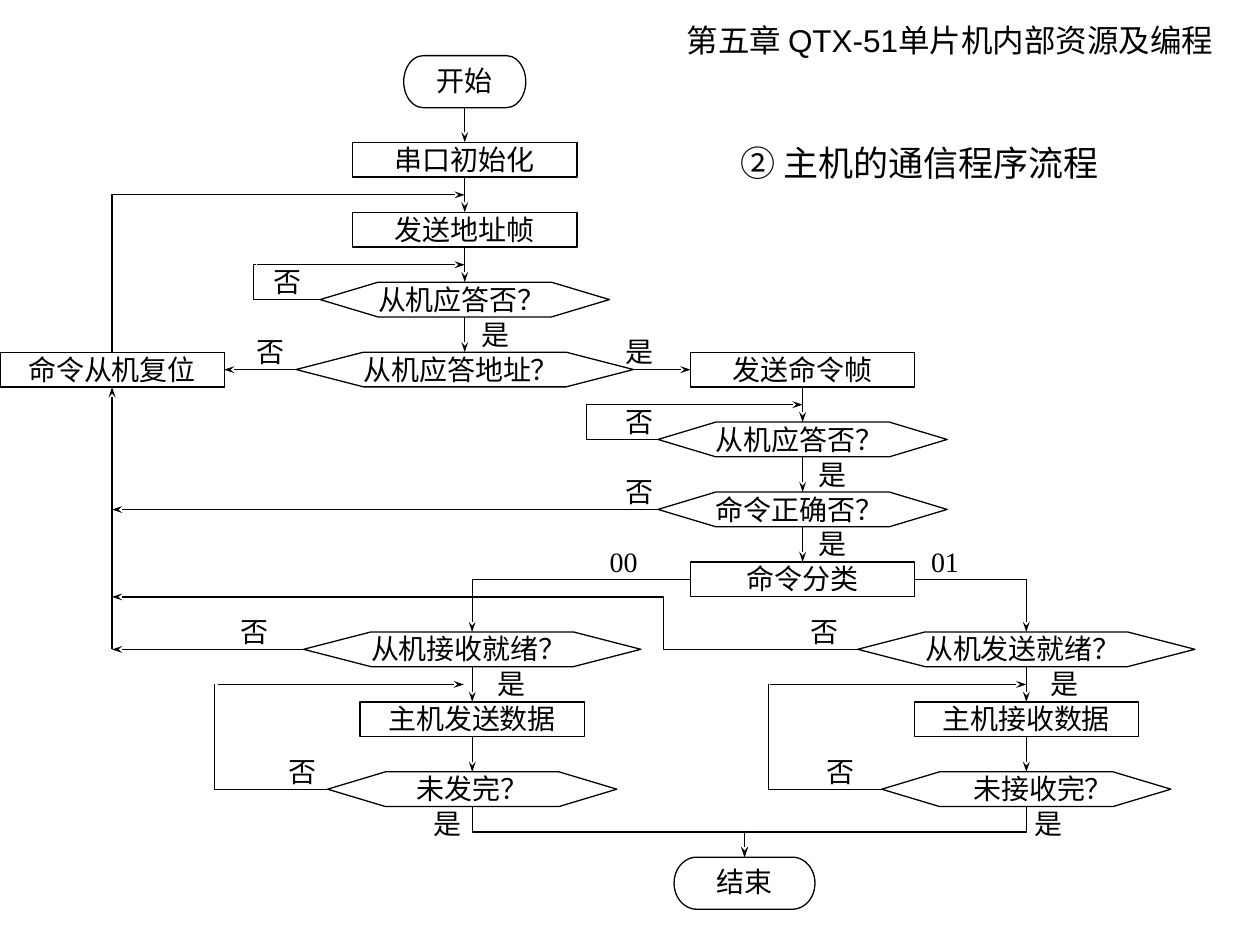
from lxml import etree
from pptx import Presentation
from pptx import util as u
from pptx.dml.color import RGBColor
from pptx.enum import shapes, text
from pptx.oxml.ns import qn

INK = {"black": "000000", "white": "FFFFFF"}
SERIF, SANS = "Times New Roman", "Arial"
LEFT, MID, RIGHT = text.PP_ALIGN.LEFT, text.PP_ALIGN.CENTER, text.PP_ALIGN.RIGHT
FIT = text.MSO_AUTO_SIZE
KIND = shapes.MSO_SHAPE
STEP, TEST, CAP = (KIND.FLOWCHART_PROCESS, KIND.FLOWCHART_PREPARATION,
                   KIND.FLOWCHART_TERMINATOR)

# Column centres in cm; rows count from the first step, a box is half a row tall
RESET, MAIN, SEND, CMD, RECV, END = 2.26, 9.37, 9.52, 16.18, 20.69, 15.01
TOP, PITCH = 2.87, 1.41
BOX, CAPH = 0.7, 1.05
WIDE, SLIM, FULL = 4.52, 5.83, 6.8
START_Y, END_Y = -1.24, 10.22

# Nodes: kind, label, column, row, width, alignment
nodes = [
    (CAP, "开始", MAIN, START_Y, 2.46, MID),
    (STEP, "串口初始化", MAIN, 0, WIDE, MID),
    (STEP, "发送地址帧", MAIN, 1, WIDE, MID),
    (TEST, "从机应答否？", MAIN, 2, SLIM, LEFT),
    (TEST, "从机应答地址？", MAIN, 3, FULL, LEFT),
    (STEP, "命令从机复位", RESET, 3, WIDE, MID),
    (STEP, "发送命令帧", CMD, 3, WIDE, MID),
    (TEST, "从机应答否？", CMD, 4, SLIM, LEFT),
    (TEST, "命令正确否？", CMD, 5, SLIM, LEFT),
    (STEP, "命令分类", CMD, 6, WIDE, MID),
    (TEST, "从机接收就绪？", SEND, 7, FULL, LEFT),
    (TEST, "从机发送就绪？", RECV, 7, FULL, LEFT),
    (STEP, "主机发送数据", SEND, 8, WIDE, MID),
    (STEP, "主机接收数据", RECV, 8, WIDE, MID),
    (TEST, "未发完？", SEND, 9, SLIM, MID),
    (TEST, "未接收完？", RECV, 9, SLIM, RIGHT),
    (CAP, "结束", END, END_Y, 2.84, MID),
]

# Straight arrows: x, row, x, row
drops = [(MAIN, -0.49, MAIN, 0)]
for col, rows in ((MAIN, (0, 1, 2)), (CMD, (3, 4, 5)), (SEND, (7, 8)), (RECV, (7, 8))):
    drops += [(col, r + 0.5, col, r + 1) for r in rows]
links = drops + [
    (MAIN + FULL / 2, 3.25, CMD - WIDE / 2, 3.25),
    (MAIN - FULL / 2, 3.25, RESET + WIDE / 2, 3.25),
    (SEND - FULL / 2, 7.25, RESET, 7.25),
    (CMD - SLIM / 2, 5.25, RESET, 5.25),
    (RESET, 7.25, RESET, 3.5),
    (5.18, 1.75, MAIN, 1.75),
    (11.96, 3.75, CMD, 3.75),
    (4.39, 7.75, 9.35, 7.75),
    (15.52, 7.75, RECV, 7.75),
]

# Bent lines: x, row, x, row, bend (None is one corner), arrow end, upright
bends = [
    (CMD - WIDE / 2, 6.25, SEND, 7, None, "tail", False),
    (CMD + WIDE / 2, 6.25, RECV, 7, None, "tail", False),
    (MAIN, 0.75, RESET, 3, None, "head", False),
    (SEND - SLIM / 2, 9.25, 4.32, 7.75, None, None, False),
    (RECV - SLIM / 2, 9.25, 15.49, 7.75, None, None, False),
    (RECV - FULL / 2, 7.25, RESET, 6.5, 0.26, "tail", False),
    (MAIN - SLIM / 2, 2.25, 5.16, 1.75, 1.04, None, False),
    (CMD - SLIM / 2, 4.25, 11.96, 3.75, 1.11, None, False),
    (SEND, 9.5, END, END_Y, 0.5, "tail", True),
    (RECV, 9.5, END, END_Y, 0.5, "tail", True),
]

# Branch labels: text, then (left, row) of each
marks = {
    "否": [(5.51, 1.75), (5.18, 2.75), (12.62, 3.75), (12.62, 4.75),
          (5.82, 8.75), (16.66, 8.75), (4.85, 6.75), (16.33, 6.75)],
    "是": [(8.74, 9.5), (20.85, 9.5), (10.03, 7.5), (21.18, 7.5),
          (16.51, 5.5), (16.51, 4.5), (12.62, 2.75), (9.7, 2.5)],
    "00": [(12.29, 5.75)],
    "01": [(18.77, 5.75)],
}

# Headings: text, left, top, width, height, size, anchor
heads = [
    ("第五章 QTX-51单片机内部资源及编程", 13.59, 0.3, 11.68, 1.02, 18,
     text.MSO_ANCHOR.TOP),
    ("② 主机的通信程序流程", 14.68, 2.72, 7.8, 1.12, 20, text.MSO_ANCHOR.MIDDLE),
]

deck = Presentation()
deck.slide_width, deck.slide_height = u.Cm(25.4), u.Cm(19.05)
page = deck.slides.add_slide(deck.slide_layouts[6]).shapes


def hue(name):
    return RGBColor.from_string(INK[name])


def row(n):
    return TOP + PITCH * n


def write(shape, words, size=16, face=SERIF, align=LEFT,
          anchor=text.MSO_ANCHOR.TOP, pad=(0, 0), wrap=False):
    frame = shape.text_frame
    form = {"margin_left": u.Cm(pad[0]), "margin_right": u.Cm(pad[0]),
            "margin_top": u.Cm(pad[1]), "margin_bottom": u.Cm(pad[1]),
            "word_wrap": wrap, "vertical_anchor": anchor,
            "auto_size": FIT.NONE if wrap else FIT.SHAPE_TO_FIT_TEXT}
    for key, val in form.items():
        setattr(frame, key, val)
    para = frame.paragraphs[0]
    para.text, para.alignment = words, align
    for key, val in {"size": u.Pt(size), "name": face}.items():
        setattr(para.font, key, val)
    para.font.color.rgb = hue("black")


def join(x1, y1, x2, y2, kind, arrow):
    line = page.add_connector(kind, *map(u.Cm, (x1, y1, x2, y2)))
    line.line.color.rgb, line.line.width = hue("black"), u.Pt(0.75)
    props = line.element.spPr
    if arrow:
        etree.SubElement(props.find(qn("a:ln")), qn(f"a:{arrow}End"),
                         type="stealth", w="sm")
    etree.SubElement(props, qn("a:effectLst"))
    return props


# Boxes
for kind, words, mid, at, wide, align in nodes:
    tall = CAPH if kind == CAP else BOX
    node = page.add_shape(kind, *map(u.Cm, (mid - wide / 2, row(at), wide, tall)))
    node.shadow.inherit = False
    node.fill.solid()
    node.fill.fore_color.rgb = hue("white")
    node.line.color.rgb, node.line.width = hue("black"), u.Pt(0.75)
    write(node, words, align=align, wrap=True)

# Straight arrows
for x1, r1, x2, r2 in links:
    join(x1, row(r1), x2, row(r2), shapes.MSO_CONNECTOR.STRAIGHT, "tail")

# Bent lines; an upright one is laid flat about its centre, then turned
for x1, r1, x2, r2, bend, arrow, upright in bends:
    y1, y2 = row(r1), row(r2)
    if upright:
        cx, cy, dx, dy = (x1 + x2) / 2, (y1 + y2) / 2, (x2 - x1) / 2, (y2 - y1) / 2
        x1, y1, x2, y2 = cx - dy, cy + dx, cx + dy, cy - dx
    props = join(x1, y1, x2, y2, shapes.MSO_CONNECTOR.ELBOW, arrow)
    if upright:
        props.find(qn("a:xfrm")).set("rot", "5400000")
    geom = props.find(qn("a:prstGeom"))
    if bend is None:
        geom.set("prst", "bentConnector2")
    else:
        etree.SubElement(geom.find(qn("a:avLst")), qn("a:gd"), name="adj1",
                         fmla=f"val {round(bend * 100000)}")

# Branch labels
for words, spots in marks.items():
    for x, at in spots:
        write(page.add_textbox(*map(u.Cm, (x, row(at), 0.57, 0.68))), words)

# Headings
for words, x, y, wide, tall, size, anchor in heads:
    write(page.add_textbox(*map(u.Cm, (x, y, wide, tall))), words, size, SANS,
          anchor=anchor, pad=(0.25, 0.13))

deck.save("out.pptx")
